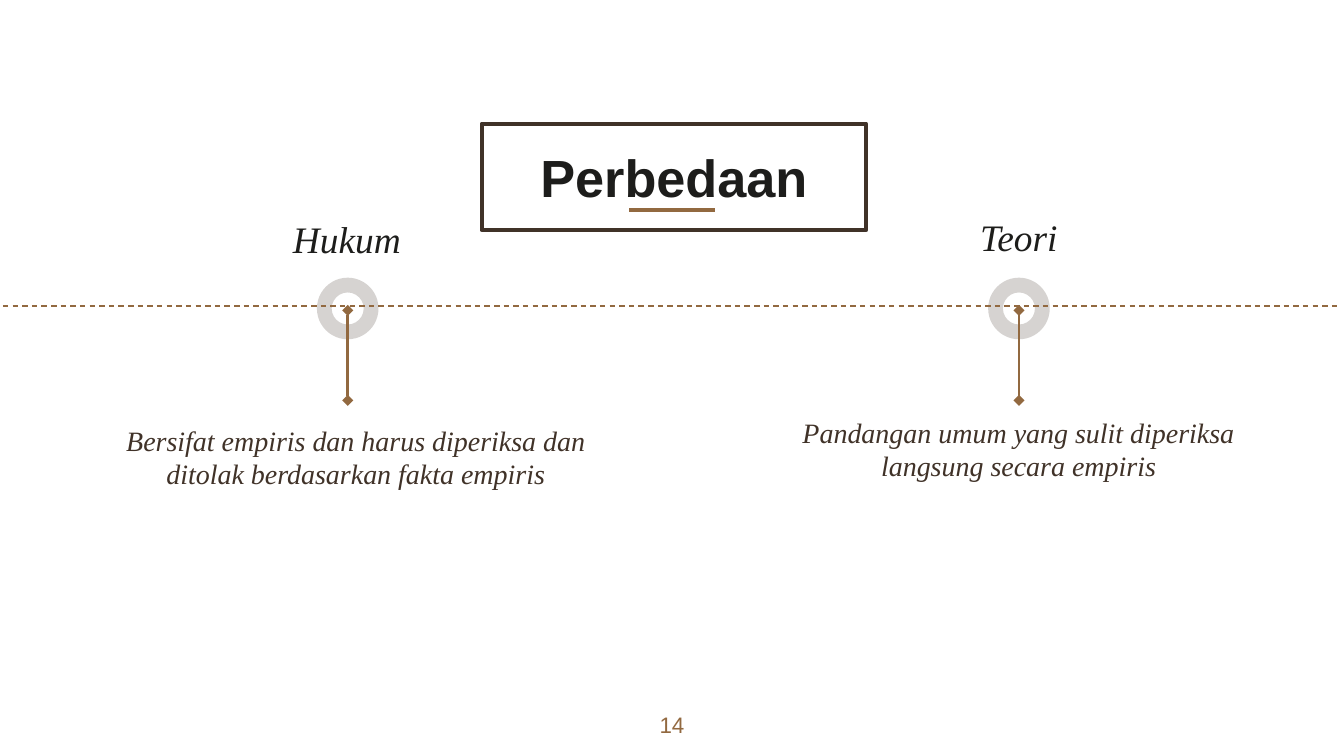
import pptx
import pptx.dml.color
import pptx.enum.dml
import pptx.enum.shapes
import pptx.enum.text
import pptx.oxml.ns
import pptx.util
from lxml import etree

Pt = pptx.util.Pt
qn = pptx.oxml.ns.qn
BROWN, DARK, INK = "926940", "403228", "1D1D1B"


def rgb(color):
    return pptx.dml.color.RGBColor.from_string(color)


def write(holder, text, size, color, font="Times New Roman", bold=False,
          italic=False, before=0, anchor="TOP"):
    """Fill a shape with one centred, formatted paragraph."""
    frame = holder.text_frame
    frame.word_wrap = True
    frame.auto_size = pptx.enum.text.MSO_AUTO_SIZE.NONE
    frame.vertical_anchor = pptx.enum.text.MSO_ANCHOR[anchor]
    frame.margin_left = frame.margin_right = Pt(7.2)
    frame.margin_top = frame.margin_bottom = Pt(7.2)
    paragraph = frame.paragraphs[0]
    paragraph.alignment = pptx.enum.text.PP_ALIGN.CENTER
    paragraph.space_before = Pt(before)
    run = paragraph.add_run()
    run.text = text
    run.font.name, run.font.size = font, Pt(size)
    run.font.bold, run.font.italic = bold, italic
    run.font.color.rgb = rgb(color)


prs = pptx.Presentation()
prs.slide_width, prs.slide_height = Pt(720), Pt(405)
slide = prs.slides.add_slide(prs.slide_layouts.get_by_name("Title Only"))
shapes = slide.shapes

# Framed heading
heading = shapes.title
heading.left, heading.top, heading.width, heading.height = Pt(258), Pt(66.3), Pt(206), Pt(57)
heading.line.color.rgb = rgb(DARK)
heading.line.width = Pt(2.25)
write(heading, "Perbedaan", 28, INK, font="Arial", bold=True, anchor="MIDDLE")

# Rings on the timeline, with the label above and the explanation below
columns = [
    (186.3, "Hukum", (136.8, 108.7),
     "Bersifat empiris dan harus diperiksa dan ditolak berdasarkan fakta empiris",
     (44.6, 219.6, 292.3)),
    (545.9, "Teori", (496.8, 107.3),
     "Pandangan umum yang sulit diperiksa langsung secara empiris",
     (410.4, 215.3, 270.7)),
]
for center, label, (label_left, label_top), explanation, (left, top, width) in columns:
    ring = shapes.add_shape(pptx.enum.shapes.MSO_SHAPE.DONUT,
                            Pt(center - 16.5), Pt(148.8), Pt(33), Pt(33))
    ring.adjustments[0] = 0.24
    ring.shadow.inherit = False
    ring.line.fill.background()
    ring.fill.solid()
    ring.fill.fore_color.rgb = rgb(DARK)
    ring_color = ring.fill._xPr.find(qn("a:solidFill"))[0]
    etree.SubElement(ring_color, qn("a:alpha"), val="21000")

    write(shapes.add_textbox(Pt(label_left), Pt(label_top), Pt(98), Pt(32.4)),
          label, 20, INK, italic=True)
    write(shapes.add_textbox(Pt(left), Pt(top), Pt(width), Pt(79)),
          explanation, 15, DARK, italic=True, before=6)

# Heading underline, dashed timeline and a stem below each ring
rules = [
    (337, 112.5, 383, 112.5, 2.25, "underline"),
    (-3.6, 164, 717, 164, 0.75, "timeline"),
] + [(column[0], 166.3, column[0], 214.5, 1.5, "stem") for column in columns]
for x1, y1, x2, y2, weight, role in rules:
    rule = shapes.add_connector(pptx.enum.shapes.MSO_CONNECTOR.STRAIGHT,
                                Pt(x1), Pt(y1), Pt(x2), Pt(y2))
    rule.line.color.rgb = rgb(BROWN)
    rule.line.width = Pt(weight)
    if role == "timeline":
        rule.line.dash_style = pptx.enum.dml.MSO_LINE.DASH
    if role == "stem":
        for end in ("a:headEnd", "a:tailEnd"):
            etree.SubElement(rule.line._ln, qn(end), type="diamond")
    etree.SubElement(rule._element.spPr, qn("a:effectLst"))

write(shapes.add_textbox(Pt(338.4), Pt(373.7), Pt(43.2), Pt(31)),
      "14", 12, BROWN, font="Arial")

prs.save("out.pptx")
